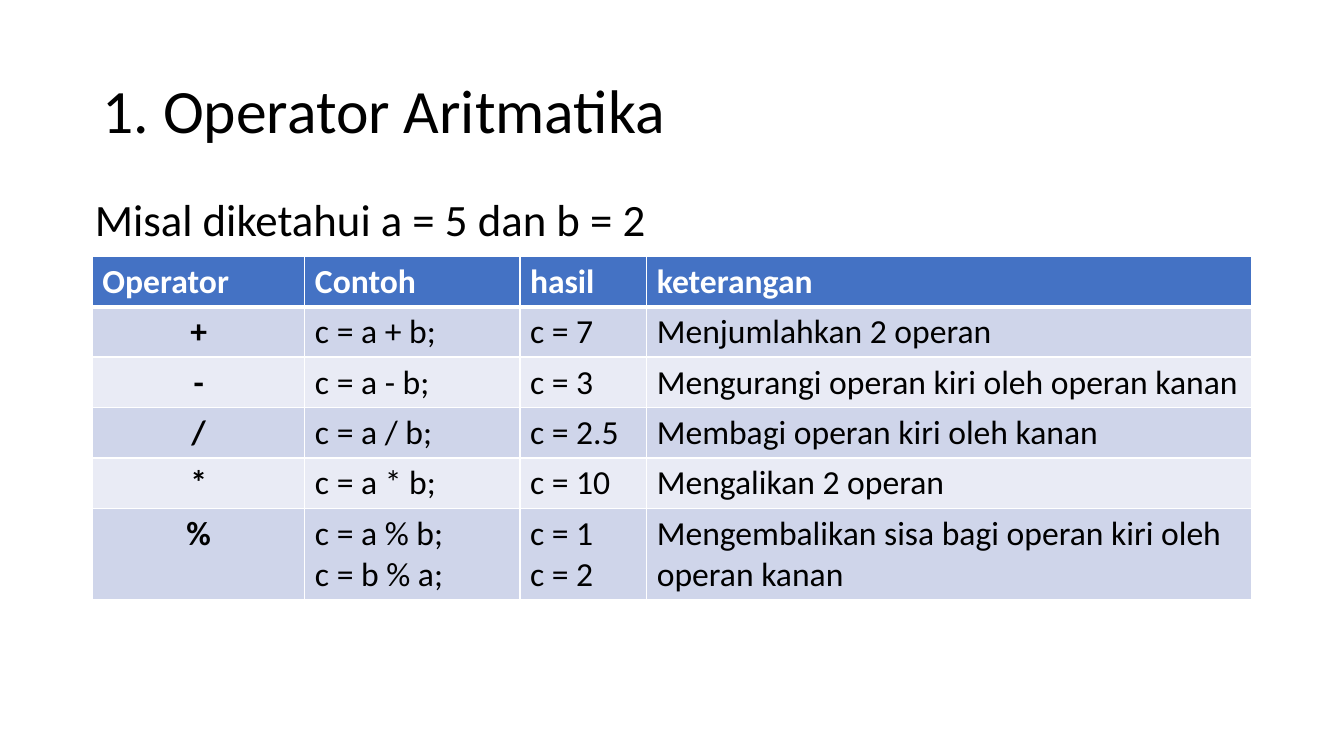
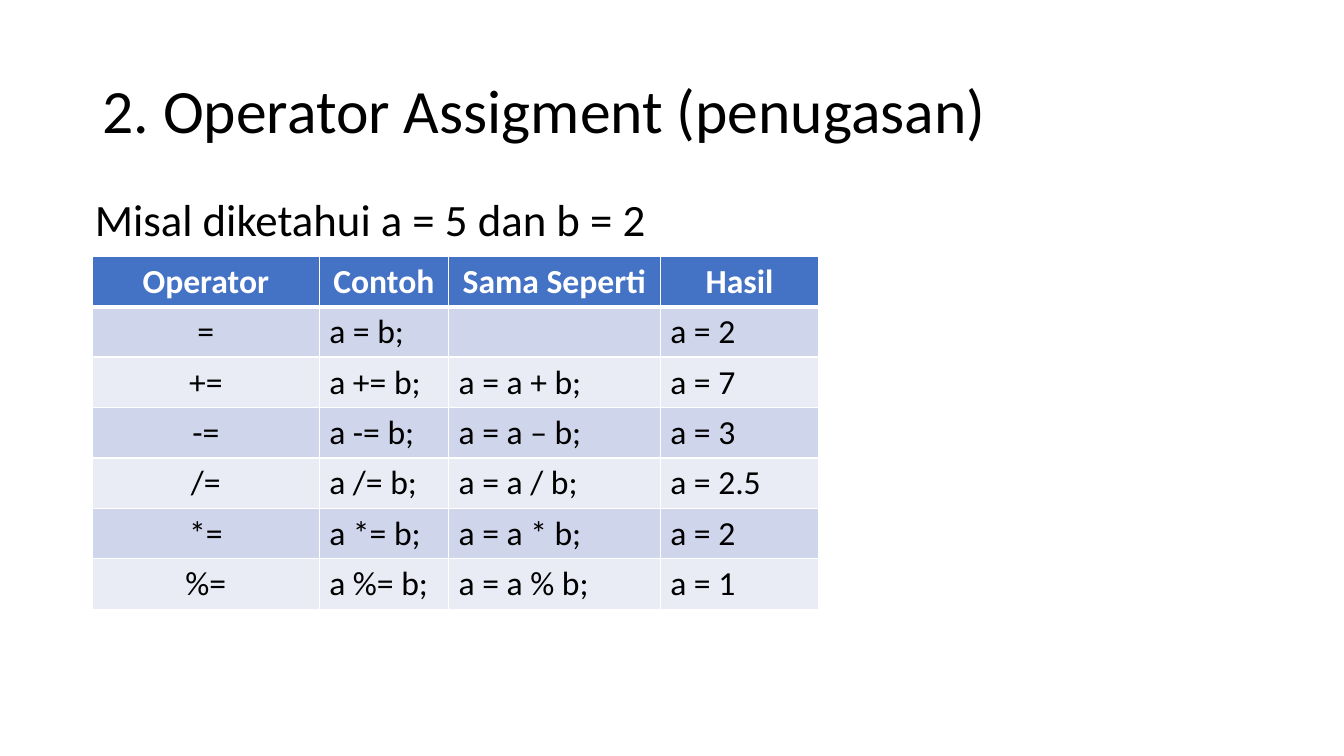
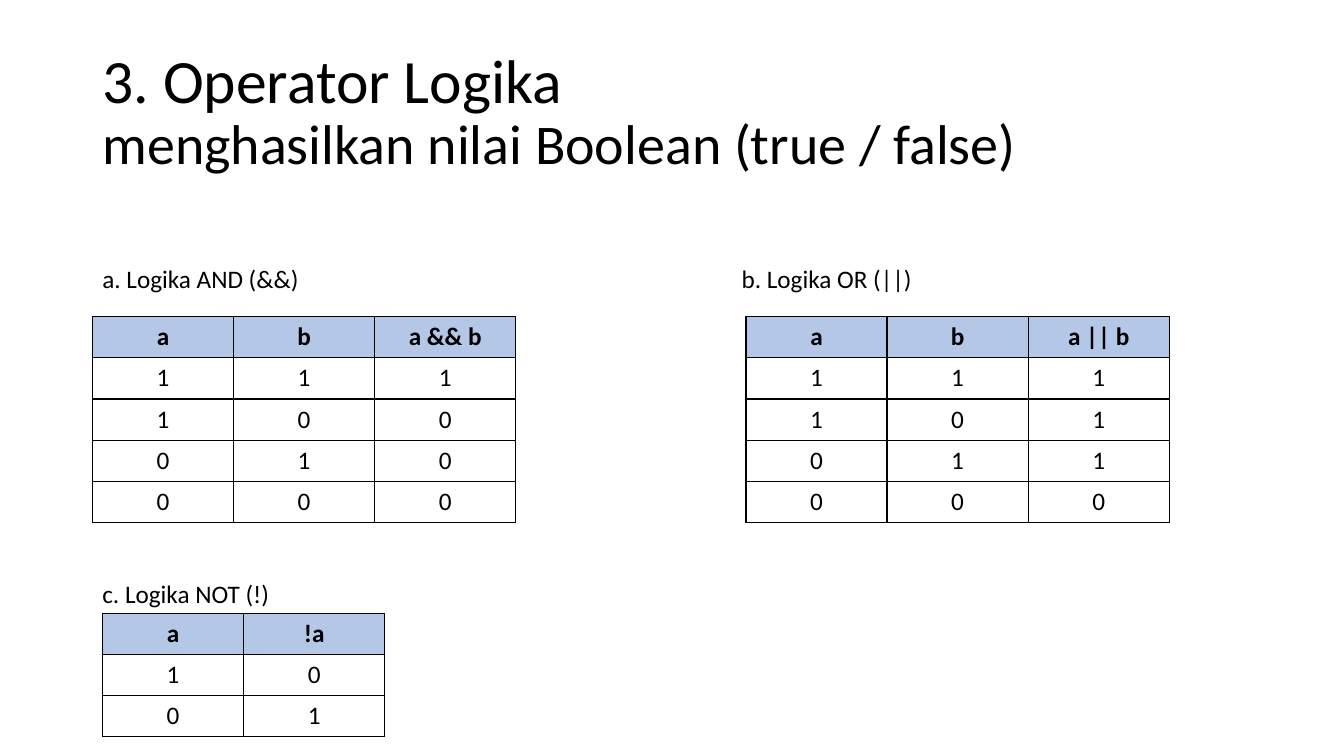
from itertools import product
from lxml import etree
from pptx import Presentation
from pptx.dml.color import RGBColor
from pptx.enum.text import MSO_ANCHOR, MSO_AUTO_SIZE, PP_ALIGN
from pptx.oxml.ns import qn
from pptx.util import Inches, Pt

LEFT, CENTER = PP_ALIGN.LEFT, PP_ALIGN.CENTER
TOP, MIDDLE = MSO_ANCHOR.TOP, MSO_ANCHOR.MIDDLE
NONE = MSO_AUTO_SIZE.NONE


class Theme:
    font = "Calibri"
    ink = "000000"
    white = "FFFFFF"
    head = "4472C4"
    bands = ("E9EBF5", "CFD5EA")
    pale = "B4C7E7"
    title = 44
    sub = 40
    lead = 32
    cell = 24
    small = 18


deck = Presentation()
deck.slide_width, deck.slide_height = Inches(13.33), Inches(7.5)
col = deck.slide_width / 160
row = deck.slide_height / 90
edge = 11


def write(frame, text, size=Theme.small, sub=None, color=Theme.ink, bold=False,
          align=LEFT, anchor=TOP, space=1):
    frame.word_wrap = True
    frame.vertical_anchor = anchor
    for i, line in enumerate(text.split("\n")):
        para = frame.add_paragraph() if i else frame.paragraphs[0]
        para.alignment, para.line_spacing = align, space
        for j, part in enumerate(line.split("\v")):
            if j:
                para.add_line_break()
            run = para.add_run()
            run.text = part
            font = run.font
            font.name, font.bold = Theme.font, bold
            font.size = Pt(sub if j else size)
            font.color.rgb = RGBColor.from_string(color)


def grid(slide, x, y, widths, rows, size, head, ink, bands, line, rule,
         aligns, bolds):
    high = 4.9
    table = slide.shapes.add_table(
        len(rows), len(widths), int(x * col), int(y * row),
        int(sum(widths) * col), int(len(rows) * high * row)).table
    table.horz_banding = False
    for c, wide in enumerate(widths):
        table.columns[c].width = int(wide * col)
    for r, texts in enumerate(rows):
        table.rows[r].height = int(high * row)
        for c, text in enumerate(texts):
            cell = table.cell(r, c)
            write(cell.text_frame, text, size=size, color=Theme.ink if r else ink,
                  bold=bolds[c] if r else True, align=aligns[min(r, 1)][c])
            props = cell._tc.get_or_add_tcPr()
            sides = {"L": 1, "R": 1, "T": rule if r == 1 else 1,
                     "B": 1 if r else rule}
            for side, width in sides.items():
                border = etree.SubElement(props, qn(f"a:ln{side}"), w=str(Pt(width)))
                solid = etree.SubElement(border, qn("a:solidFill"))
                etree.SubElement(solid, qn("a:srgbClr"), val=line)
            fill = bands[r % 2] if r else head
            if fill:
                cell.fill.solid()
                cell.fill.fore_color.rgb = RGBColor.from_string(fill)
            else:
                cell.fill.background()


layout = deck.slide_layouts[5]
name = layout.placeholders[0]
name.left, name.top = int(edge * col), int(4.8 * row)
name.width, name.height = int(138 * col), int(17.4 * row)

lead = (10.1, 22.2, 74.5, 7.7, "Misal diketahui a = 5 dan b = 2", Theme.lead)
label = (38.3, 4.8)
pages = [
    ("1. Operator Aritmatika", [lead]),
    ("2. Operator Assigment (penugasan)", [lead]),
    ("3. Operator Logika\vmenghasilkan nilai Boolean (true / false)", [
        (edge, 30.8, *label, "a. Logika AND (&&)", Theme.small),
        (87.1, 30.8, *label, "b. Logika OR (||)", Theme.small),
        (edge, 68.2, *label, "c. Logika NOT (!)", Theme.small),
    ]),
]
slides = []
for title, notes in pages:
    slide = deck.slides.add_slide(layout)
    slides.append(slide)
    frame = slide.shapes.title.text_frame
    frame.auto_size = NONE
    write(frame, title, size=Theme.title, sub=Theme.sub, anchor=MIDDLE, space=0.9)
    for x, y, wide, high, text, size in notes:
        box = slide.shapes.add_textbox(int(x * col), int(y * row),
                                       int(wide * col), int(high * row))
        write(box.text_frame, text, size=size)

math = [
    ("Operator", "Contoh", "hasil", "keterangan"),
    ("+", "c = a + b;", "c = 7", "Menjumlahkan 2 operan"),
    ("-", "c = a - b;", "c = 3", "Mengurangi operan kiri oleh operan kanan"),
    ("/", "c = a / b;", "c = 2.5", "Membagi operan kiri oleh kanan"),
    ("*", "c = a * b;", "c = 10", "Mengalikan 2 operan"),
    ("%", "c = a % b;\nc = b % a;", "c = 1\nc = 2",
     "Mengembalikan sisa bagi operan kiri oleh operan kanan"),
]
assign = [
    ("Operator", "Contoh", "Sama Seperti", "Hasil"),
    ("=", "a = b;", "", "a = 2"),
    ("+=", "a += b;", "a = a + b;", "a = 7"),
    ("-=", "a -= b;", "a = a – b;", "a = 3"),
    ("/=", "a /= b;", "a = a / b;", "a = 2.5"),
    ("*=", "a *= b;", "a = a * b;", "a = 2"),
    ("%=", "a %= b;", "a = a % b;", "a = 1"),
]
body = (CENTER, LEFT, LEFT, LEFT)
tables = [
    (slides[0], (25.3, 25.6, 15.1, 72), math, (LEFT,) * 4, True),
    (slides[1], (27, 15.4, 25.2, 18.9), assign, (CENTER,) * 4, False),
]
for slide, widths, rows, top, bold in tables:
    grid(slide, edge, 30.5, widths, rows, size=Theme.cell, head=Theme.head,
         ink=Theme.white, bands=Theme.bands, line=Theme.white, rule=3,
         aligns=(top, body), bolds=(bold, False, False, False))

pairs = list(product((1, 0), repeat=2))
logic = [
    (edge, 37.7, ("a", "b", "a && b"), [(a, b, a & b) for a, b in pairs]),
    (88.8, 37.7, ("a", "b", "a || b"), [(a, b, a | b) for a, b in pairs]),
    (12.2, 73, ("a", "!a"), [(a, 1 - a) for a in (1, 0)]),
]
for x, y, heads, bits in logic:
    count = len(heads)
    rows = [heads] + [[str(bit) for bit in line] for line in bits]
    grid(slides[2], x, y, (16.8,) * count, rows, size=Theme.small,
         head=Theme.pale, ink=Theme.ink, bands=(None, None), line=Theme.ink,
         rule=1, aligns=((CENTER,) * count,) * 2, bolds=(False,) * count)

deck.save("out.pptx")
